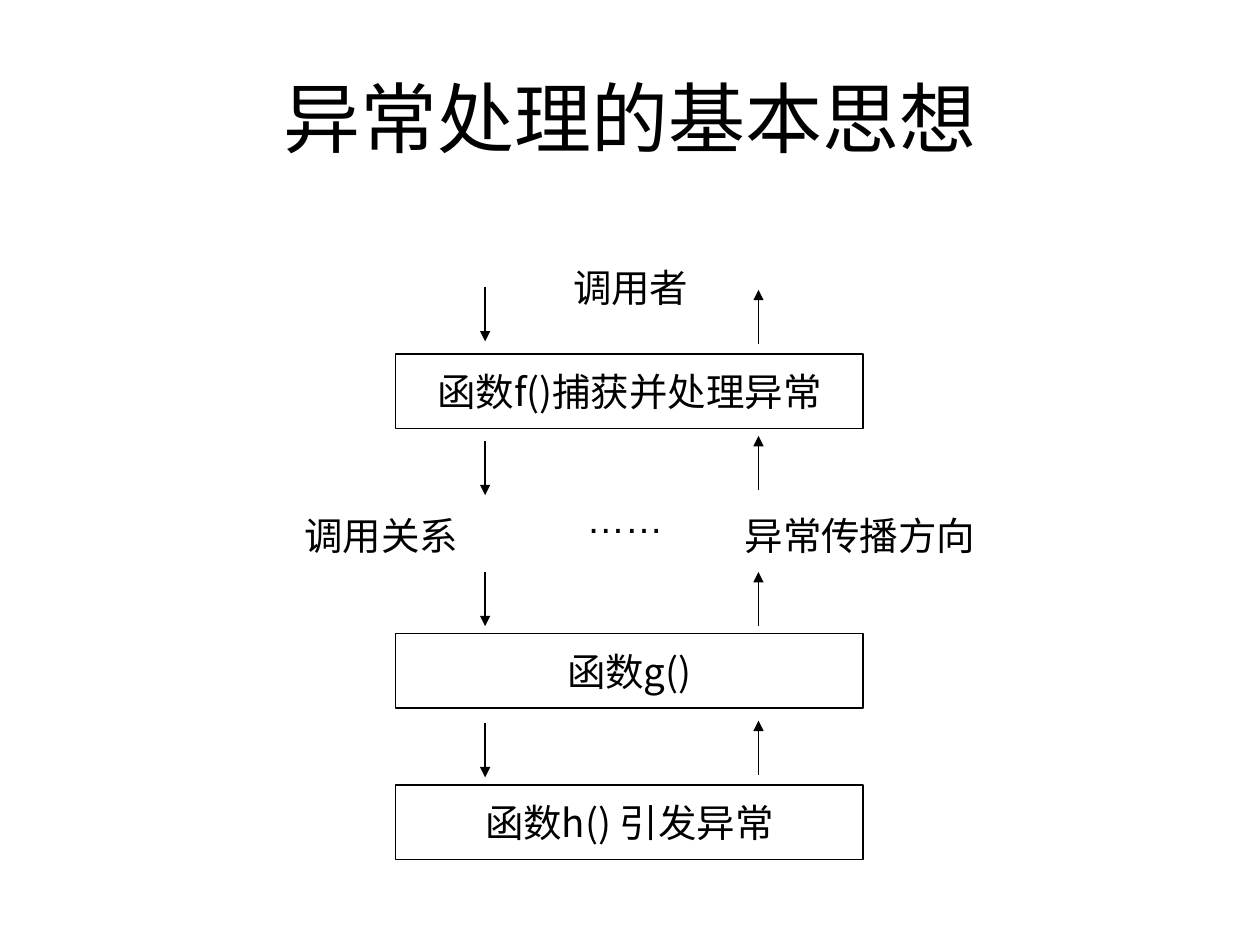
from pptx import Presentation
from pptx.dml.color import RGBColor
from pptx.enum.shapes import MSO_CONNECTOR as CONN, MSO_SHAPE as SHAPE
from pptx.enum.text import MSO_ANCHOR as ANCHOR, PP_ALIGN as ALIGN
from pptx.oxml.ns import qn
from pptx.util import Inches, Pt

TITLE = "异常处理的基本思想"
BLACK = "000000"
CJK = "Noto Sans CJK SC"
FUNCTIONS = [("函数f()捕获并处理异常", 2.81), ("函数g()", 5.03), ("函数h() 引发异常", 6.23)]
LABELS = [
    ("……", "Arial", (3.35, 3.89, 3.22, 0.45)),
    ("调用者", CJK, (4.15, 2.08, 1.71, 0.39)),
    ("异常传播方向", CJK, (5.9, 4.05, 1.85, 0.39)),
    ("调用关系", CJK, (2.17, 4.05, 1.71, 0.39)),
]
BOX_LEFT, BOX_W, BOX_H = 3.14, 3.71, 0.59
CALL_X, CALL_TOPS = 3.85, [2.28, 3.5, 4.54, 5.74]
THROW_X, THROW_TOPS = 6.02, [2.3, 3.46, 4.54, 5.72]
ARROW_LEN = 0.43


def color(value):
    return RGBColor.from_string(value)


def write(sp, text, font, size, inset=None):
    tf = sp.text_frame
    frame = {"word_wrap": True, "vertical_anchor": ANCHOR.MIDDLE}
    if inset is not None:
        frame.update(margin_left=Inches(inset), margin_right=Inches(inset),
                     margin_top=0, margin_bottom=0)
    for name, value in frame.items():
        setattr(tf, name, value)
    p = tf.paragraphs[0]
    p.alignment = ALIGN.CENTER
    r = p.add_run()
    r.text = text
    for name, value in {"name": font, "size": Pt(size)}.items():
        setattr(r.font, name, value)
    r.font.color.rgb = color(BLACK)
    if font == CJK:
        ea = r.font._element.makeelement(qn("a:ea"), {"typeface": font})
        r.font._element.append(ea)


def outline(sp):
    sp.line.color.rgb = color(BLACK)
    sp.line.width = Pt(0.75)


def add_arrow(s, x, start, end):
    cn = s.shapes.add_connector(CONN.STRAIGHT, *map(Inches, (x, start, x, end)))
    outline(cn)
    ln = cn.line._get_or_add_ln()
    ln.append(ln.makeelement(qn("a:tailEnd"), {"type": "triangle"}))
    sp_pr = cn._element.spPr
    sp_pr.append(sp_pr.makeelement(qn("a:effectLst"), {}))


def main():
    prs = Presentation()
    prs.slide_width, prs.slide_height = Inches(10), Inches(7.5)
    s = prs.slides.add_slide(prs.slide_layouts[5])

    title = s.shapes.title
    title.left, title.top, title.width, title.height = map(Inches, (0.5, 0.3, 9, 1.25))
    write(title, TITLE, "Calibri", 44)

    for text, top in FUNCTIONS:
        box = s.shapes.add_shape(SHAPE.RECTANGLE, *map(Inches, (BOX_LEFT, top, BOX_W, BOX_H)))
        box.shadow.inherit = False
        box.fill.background()
        outline(box)
        write(box, text, CJK, 22, 0.1)

    for top in CALL_TOPS:
        add_arrow(s, CALL_X, top, top + ARROW_LEN)
    for top in THROW_TOPS:
        add_arrow(s, THROW_X, top + ARROW_LEN, top)

    for text, font, place in LABELS:
        write(s.shapes.add_textbox(*map(Inches, place)), text, font, 22, 0)

    prs.save("out.pptx")


if __name__ == "__main__":
    main()
